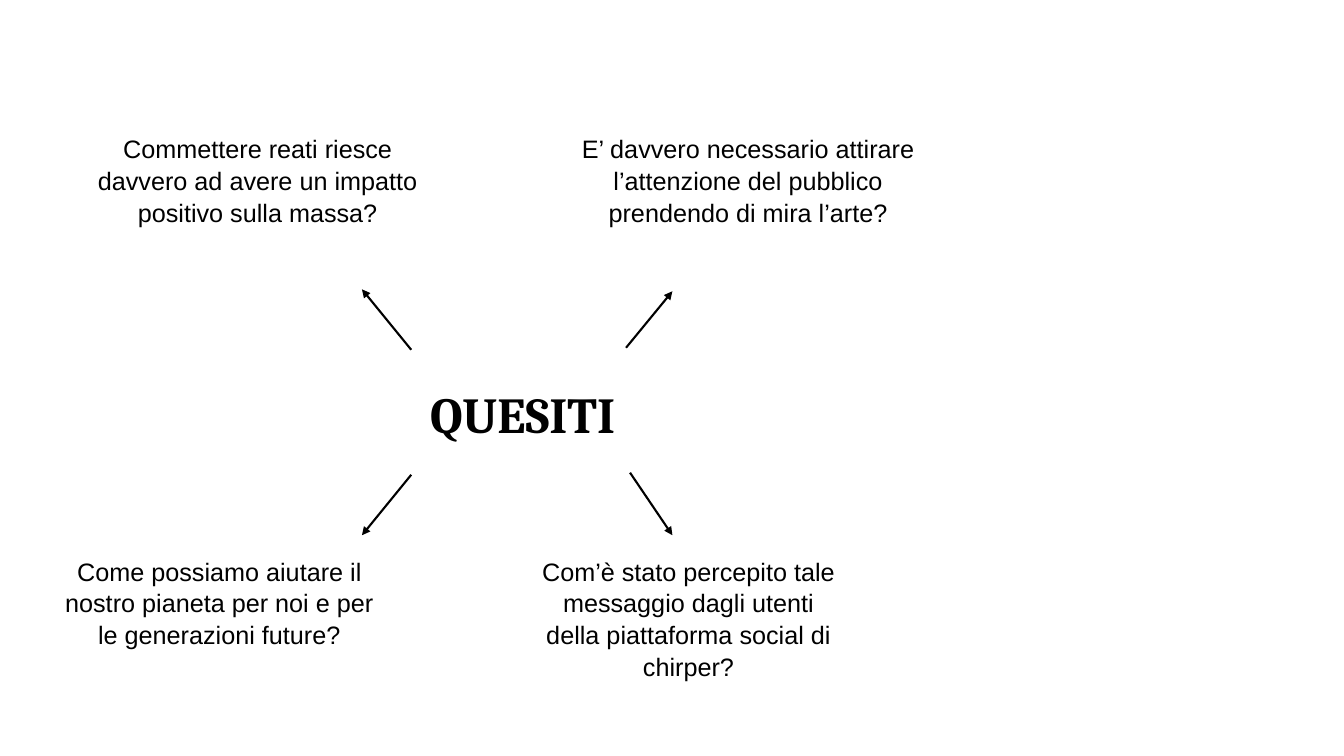
from dataclasses import dataclass

from pptx import Presentation
from pptx.dml.color import RGBColor
from pptx.enum.shapes import MSO_CONNECTOR as Connector
from pptx.enum.text import MSO_ANCHOR as Anchor, PP_ALIGN as Align
from pptx.oxml.ns import qn
from pptx.slide import Slide
from pptx.util import Inches, Pt
from lxml.etree import SubElement

WIDTH, HEIGHT = Inches(13.33), Inches(7.5)
COLORS = {"paper": "FFFFFF", "ink": "000000"}


@dataclass(frozen=True)
class Label:
    """Text block; position and size are percentages of the slide."""
    text: str
    left: float
    top: float
    width: float
    height: float
    font: str = "Arial"
    size: int = 18
    bold: bool = False
    spacing: float = 1.05


@dataclass(frozen=True)
class Arrow:
    """Arrow from the centre outwards, in percentages of the slide."""
    start: tuple[float, float]
    end: tuple[float, float]


TOP_ROW, BOTTOM_ROW = 16.8, 72.67
THREE_LINES, FOUR_LINES = 17.47, 21.6

LABELS = [
    Label("QUESITI", 27.75, 50, 22.28, 12.53, "Cambria", 36, True, 1.0),
    Label("E’ davvero necessario attirare l’attenzione del pubblico "
          "prendendo di mira l’arte?", 41.48, TOP_ROW, 28.35, THREE_LINES),
    Label("Commettere reati riesce davvero ad avere un impatto positivo "
          "sulla massa?", 6.08, TOP_ROW, 26.18, THREE_LINES),
    Label("Come possiamo aiutare il nostro pianeta per noi e per le "
          "generazioni future?", 3.9, BOTTOM_ROW, 24.83, THREE_LINES),
    Label("Com’è stato percepito tale messaggio dagli utenti della "
          "piattaforma social di chirper?", 39.15, BOTTOM_ROW, 24.15, FOUR_LINES),
]

ARROWS = [
    Arrow((30.6, 46.27), (26.93, 38.27)),
    Arrow((46.58, 46), (50.03, 38.53)),
    Arrow((30.6, 62.8), (26.93, 70.8)),
    Arrow((46.88, 62.53), (50.03, 70.8)),
]


def across(share: float) -> int:
    return round(WIDTH * share / 100)


def down(share: float) -> int:
    return round(HEIGHT * share / 100)


def color(name: str) -> RGBColor:
    return RGBColor.from_string(COLORS[name])


def draw_label(page: Slide, label: Label) -> None:
    box = page.shapes.add_textbox(across(label.left), down(label.top),
                                  across(label.width), down(label.height))
    frame = box.text_frame
    frame.word_wrap = True
    frame.vertical_anchor = Anchor.TOP
    frame.text = label.text
    para = frame.paragraphs[0]
    para.alignment = Align.CENTER
    para.line_spacing = label.spacing
    font = para.runs[0].font
    font.name, font.size, font.bold = label.font, Pt(label.size), label.bold
    font.color.rgb = color("ink")


def draw_arrow(page: Slide, arrow: Arrow) -> None:
    (x1, y1), (x2, y2) = arrow.start, arrow.end
    connector = page.shapes.add_connector(Connector.STRAIGHT, across(x1), down(y1),
                                          across(x2), down(y2))
    connector.line.color.rgb = color("ink")
    connector.line.width = Pt(1.5)
    properties = connector.element.spPr
    SubElement(properties.find(qn("a:ln")), qn("a:tailEnd"), type="triangle")
    SubElement(properties, qn("a:effectLst"))


def main() -> None:
    deck = Presentation()
    deck.slide_width, deck.slide_height = WIDTH, HEIGHT
    page = deck.slides.add_slide(deck.slide_layouts[6])
    page.background.fill.solid()
    page.background.fill.fore_color.rgb = color("paper")

    # Central title and the four questions
    for label in LABELS:
        draw_label(page, label)

    # Arrows pointing from the title to the questions
    for arrow in ARROWS:
        draw_arrow(page, arrow)

    deck.save("out.pptx")


if __name__ == "__main__":
    main()
